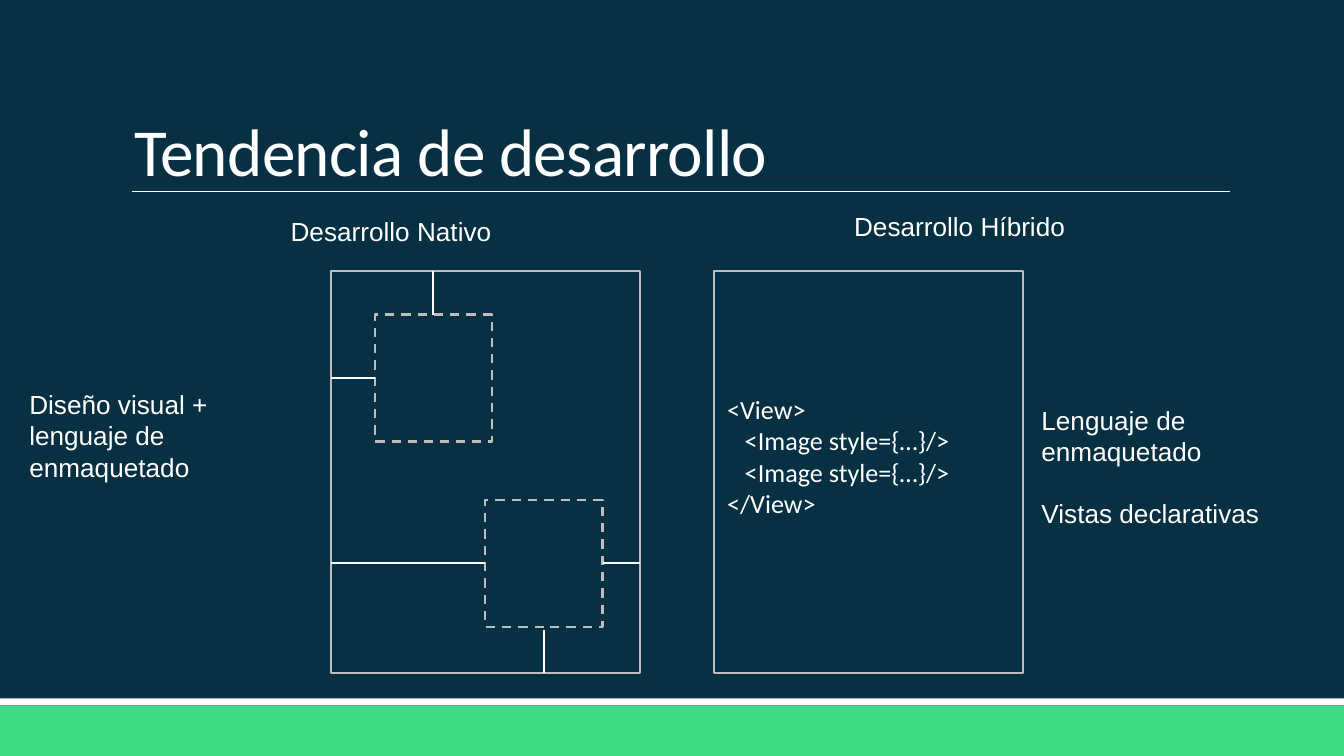
from pptx import Presentation
from pptx.dml.color import RGBColor
from pptx.enum.dml import MSO_LINE
from pptx.enum.shapes import MSO_CONNECTOR, MSO_SHAPE
from pptx.enum.text import MSO_ANCHOR, PP_ALIGN
from pptx.oxml.ns import qn
from pptx.util import Pt
from lxml import etree

NAVY, WHITE, GREY, GREEN = "073042", "FFFFFF", "BDBDBD", "3DDB85"
rgb = RGBColor.from_string


def write(sp, lines, font="Arial", size=14, align=PP_ALIGN.LEFT):
    """Fill a shape with one paragraph per line."""
    tf = sp.text_frame
    tf.word_wrap = True
    for i, line in enumerate(lines):
        p = tf.paragraphs[0] if i == 0 else tf.add_paragraph()
        p.alignment = align
        r = p.add_run()
        r.text = line
        r.font.name, r.font.size = font, Pt(size)
        r.font.color.rgb = rgb(WHITE)
    return tf


def add_rect(x, y, w, h, fill, line=None, dash=None):
    sp = s.shapes.add_shape(MSO_SHAPE.RECTANGLE, Pt(x), Pt(y), Pt(w), Pt(h))
    sp.shadow.inherit = False
    sp.fill.solid()
    sp.fill.fore_color.rgb = rgb(fill)
    if line:
        sp.line.color.rgb = rgb(line)
        sp.line.width = Pt(1.25)
        sp.line.dash_style = dash
    else:
        sp.line.fill.background()
    return sp


prs = Presentation()
prs.slide_width, prs.slide_height = Pt(720), Pt(405)
s = prs.slides.add_slide(prs.slide_layouts[6])
s.background.fill.solid()
s.background.fill.fore_color.rgb = rgb(NAVY)

# Footer bands
add_rect(0, 378, 720, 27, GREEN)
add_rect(0, 374.2, 720, 3.8, WHITE)

# Title
sp = s.shapes.add_textbox(Pt(64.8), Pt(17.3), Pt(594), Pt(85.7))
tf = write(sp, ["Tendencia de desarrollo"], "Calibri", 36)
tf.vertical_anchor = MSO_ANCHOR.BOTTOM
tf.margin_left = tf.margin_right = tf.margin_top = Pt(7.2)
tf.margin_bottom = Pt(1)
tf.paragraphs[0].runs[0].font._element.set("spc", "-40")

# Headings and side notes
for text, x, y, w, h, align in [
    ("Desarrollo Nativo", 64.8, 111.6, 289.4, 24.5, PP_ALIGN.CENTER),
    ("Desarrollo Híbrido", 369.4, 109.2, 289.4, 24.5, PP_ALIGN.CENTER),
    ("Diseño visual + lenguaje de enmaquetado", 8.6, 204.5, 157, 58.3, PP_ALIGN.LEFT),
    ("Lenguaje de enmaquetado", 550.8, 213.1, 154.8, 41, PP_ALIGN.LEFT),
    ("Vistas declarativas", 550.8, 262.8, 154.8, 24.5, PP_ALIGN.LEFT),
]:
    sp = s.shapes.add_textbox(Pt(x), Pt(y), Pt(w), Pt(h))
    write(sp, [text], align=align)

# Screen frames
left, top, width, height = 177.2, 145.2, 165.8, 215.4
right, bottom = left + width, top + height
add_rect(left, top, width, height, NAVY, GREY)
code = add_rect(382.4, top, width, height, NAVY, GREY)
tf = write(code, [
    "<View>",
    "   <Image style={…}/>",
    "   <Image style={…}/>",
    "</View>",
], "Calibri")
tf.vertical_anchor = MSO_ANCHOR.MIDDLE
tf.margin_bottom = Pt(20.7)

# Dashed views inside the native screen
vw, vh = 62.8, 68
x1, y1, x2, y2 = 200.8, 168.5, 260, 267.8
view1 = add_rect(x1, y1, vw, vh, NAVY, GREY, MSO_LINE.DASH)
view2 = add_rect(x2, y2, vw, vh, NAVY, GREY, MSO_LINE.DASH)
cx1, cy1 = x1 + vw / 2, y1 + vh / 2
cx2, cy2 = x2 + vw / 2, y2 + vh / 2

# Title rule and layout constraints: start, end, width, joined view, side
for xa, ya, xb, yb, w, view, side in [
    (70.6, 102.6, 658.8, 102.6, 0.5, None, None),
    (x1, cy1, left, cy1, 1, view1, 1),
    (cx1, y1, cx1, top, 1, view1, 0),
    (cx2, y2 + vh + 1.5, cx2, bottom, 1, None, None),
    (x2 + vw, cy2, right, cy2, 1, view2, 3),
    (x2, cy2, left, cy2, 1, view2, 1),
]:
    c = s.shapes.add_connector(MSO_CONNECTOR.STRAIGHT, Pt(xa), Pt(ya), Pt(xb), Pt(yb))
    c.line.color.rgb = rgb(WHITE)
    c.line.width = Pt(w)
    etree.SubElement(c._element.spPr, qn("a:effectLst"))
    if view is not None:
        c.begin_connect(view, side)

prs.save("out.pptx")
